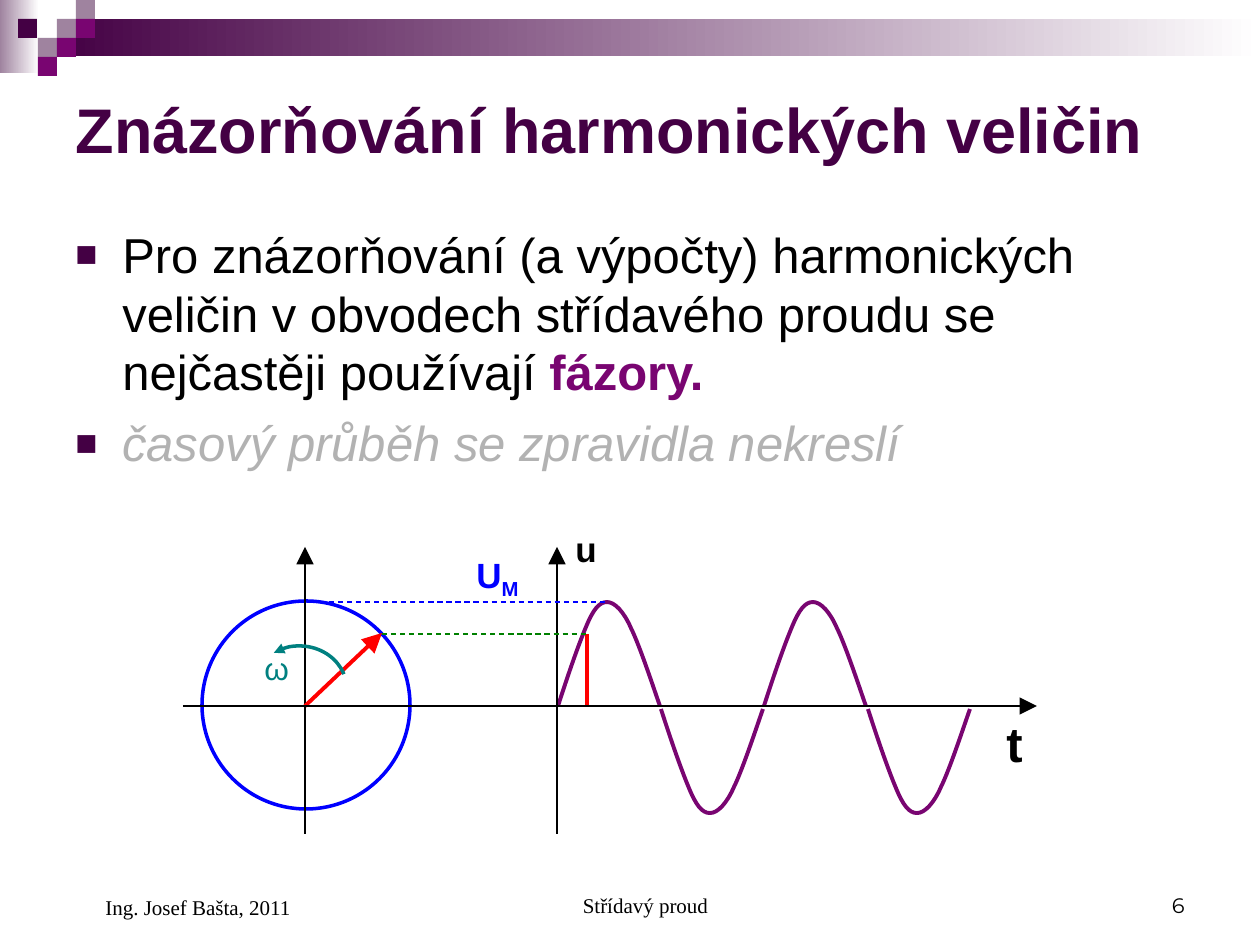
from lxml.etree import SubElement
from pptx import Presentation
from pptx.dml.color import RGBColor
from pptx.enum.dml import MSO_LINE
from pptx.enum.shapes import MSO_CONNECTOR, MSO_SHAPE
from pptx.enum.text import MSO_ANCHOR, PP_ALIGN
from pptx.oxml.ns import qn
from pptx.util import Emu, Pt

PX = 7257.14  # EMU per pixel, 126 px to the inch
BLACK = RGBColor(0, 0, 0)
WHITE = RGBColor(255, 255, 255)
DARK = RGBColor(0x44, 0x00, 0x44)
PURPLE = RGBColor(0x79, 0x05, 0x71)
MAUVE = RGBColor(0x9F, 0x83, 0x9F)
GREY = RGBColor(0xB2, 0xB2, 0xB2)
BLUE = RGBColor(0, 0, 255)
RED = RGBColor(255, 0, 0)
GREEN = RGBColor(0, 0x80, 0)
TEAL = RGBColor(0, 0x80, 0x80)

# Content: a run is (text, size, colour, style), style being letters of "bi_"
TITLE = [("Znázorňování harmonických veličin", 36, DARK, "b")]
BULLETS = [
    [("Pro znázorňování (a výpočty) harmonických veličin v obvodech "
      "střídavého proudu se nejčastěji používají ", 28, BLACK, ""),
     ("fázory.", 28, PURPLE, "b")],
    [("časový průběh se zpravidla nekreslí", 28, GREY, "i")],
]
LABELS = [  # left, top, width, height, runs
    (563, 521, 84, 55, [("u", 20, BLACK, "b")]),
    (994, 707, 57, 72, [("t", 28, BLACK, "b")]),
    (252, 643, 48, 50, [("ω", 18, TEAL, "")]),
    (464, 547, 103, 60, [("U", 20, BLUE, "b"), ("M", 20, BLUE, "b_")]),
]
FOOTERS = [  # left, width, height, text, font, alignment, indent
    (431, 399, 63, "Střídavý proud", "Times New Roman", PP_ALIGN.CENTER, 30),
    (903, 294, 63, "6", "Montserrat", PP_ALIGN.RIGHT, 0),
    (63, 294, 65, "Ing. Josef Bašta, 2011", "Times New Roman", PP_ALIGN.LEFT, 30),
]
BANDS = [(0, 0, 39, 73, MAUVE), (57, 19, 1203, 37, DARK)]
TILE = 19
TILES = [(57, 19, MAUVE), (76, 0, MAUVE), (76, 19, PURPLE), (38, 38, MAUVE),
         (18, 19, DARK), (57, 38, PURPLE), (38, 57, PURPLE)]
LINES = [  # x1, y1, x2, y2, colour, width, arrow, dashed
    (557, 834, 557, 547, BLACK, 1.5, True, False),
    (305, 834, 305, 547, BLACK, 1.5, True, False),
    (305, 706, 382, 633, RED, 2.25, True, False),
    (587, 634, 587, 706, RED, 2.25, False, False),
    (382, 634, 586, 634, GREEN, 0.75, False, True),
    (311, 602, 605, 602, BLUE, 0.75, False, True),
    (183, 706, 1037, 706, BLACK, 1.5, True, False),
]
# Half wave as Bézier points: start, then three points per segment
HALF_WAVE = [(0, 0), (10, -31), (20, -60), (28, -79), (35, -96), (41, -104),
             (49, -104), (57, -104), (66, -94), (73, -78), (82, -60),
             (97, -14), (102, 0)]
WAVES = [(558, 706, 1), (764, 706, 1), (661, 709, -1), (868, 709, -1)]
ROTATION_DEGREES = (235, 341)

presentation = Presentation()
presentation.slide_width, presentation.slide_height = Emu(9144000), Emu(6858000)
slide = presentation.slides.add_slide(presentation.slide_layouts[5])
shapes = slide.shapes


def px(*values):
    return [Emu(round(value * PX)) for value in values]


def add_runs(paragraph, runs, font="Arial"):
    for text, size, colour, style in runs:
        run = paragraph.add_run()
        run.text = text
        run.font.name, run.font.size = font, Pt(size)
        run.font.bold, run.font.italic = "b" in style, "i" in style
        run.font.color.rgb = colour
        if "_" in style:
            run.font._element.set("baseline", "-25000")


def add_text(left, top, width, height, anchor=MSO_ANCHOR.TOP):
    frame = shapes.add_textbox(*px(left, top, width, height)).text_frame
    frame.word_wrap = True
    frame.vertical_anchor = anchor
    return frame


def add_box(kind, left, top, width, height):
    shape = shapes.add_shape(kind, *px(left, top, width, height))
    shape.shadow.inherit = False
    shape.line.fill.background()
    return shape


def set_outline(shape, colour, width):
    shape.fill.background()
    shape.line.color.rgb, shape.line.width = colour, Pt(width)


def add_arrowhead(line, end, size):
    SubElement(line._get_or_add_ln(), qn(f"a:{end}"),
               type="triangle", w=size, len=size)


def add_curve(points, colour, width):
    """Build a freeform through the points, then make each three a Bézier."""
    builder = shapes.build_freeform(*px(*points[0]), scale=1.0)
    builder.add_line_segments([px(*point) for point in points[1:]], close=False)
    curve = builder.convert_to_shape()
    curve.shadow.inherit = False
    set_outline(curve, colour, width)
    segments = list(curve._element.iter(qn("a:lnTo")))
    outline = segments[0].getparent()
    for first in range(0, len(segments), 3):
        bezier = SubElement(outline, qn("a:cubicBezTo"))
        for segment in segments[first:first + 3]:
            bezier.append(segment[0])
            outline.remove(segment)


# Header decoration
for *place, colour in BANDS:
    fill = add_box(MSO_SHAPE.RECTANGLE, *place).fill
    fill.gradient()
    fill.gradient_angle = 180
    for stop, stop_colour in zip(fill.gradient_stops, (WHITE, colour)):
        stop.color.rgb = stop_colour
for left, top, colour in TILES:
    tile = add_box(MSO_SHAPE.RECTANGLE, left, top, TILE, TILE)
    tile.fill.solid()
    tile.fill.fore_color.rgb = colour

# Title
title = shapes.title
title.left, title.top, title.width, title.height = px(63, 63, 1134, 130)
title.text_frame.vertical_anchor = MSO_ANCHOR.MIDDLE
title.text_frame.paragraphs[0].alignment = PP_ALIGN.LEFT
add_runs(title.text_frame.paragraphs[0], TITLE)

# Bulleted text
body = add_text(63, 218, 1134, 284)
for index, runs in enumerate(BULLETS):
    paragraph = body.paragraphs[0] if index == 0 else body.add_paragraph()
    if index:
        paragraph.space_before = Pt(7)
    properties = paragraph._p.get_or_add_pPr()
    indent = px(47)[0]
    properties.set("marL", str(indent))
    properties.set("indent", str(-indent))
    bullet_colour = SubElement(properties, qn("a:buClr"))
    SubElement(bullet_colour, qn("a:srgbClr"), val=str(DARK))
    SubElement(properties, qn("a:buSzPct"), val="75000")
    SubElement(properties, qn("a:buFont"), typeface="Arial")
    SubElement(properties, qn("a:buChar"), char="■")
    add_runs(paragraph, runs)

# Phasor circle and sine wave
for left, base, sign in WAVES:
    add_curve([(left + x, base + sign * y) for x, y in HALF_WAVE], PURPLE, 2.25)
set_outline(add_box(MSO_SHAPE.OVAL, 202, 601, 208, 208), BLUE, 2)

# Axes, phasor and projection lines
for x1, y1, x2, y2, colour, width, arrow, dashed in LINES:
    connector = shapes.add_connector(MSO_CONNECTOR.STRAIGHT, *px(x1, y1, x2, y2))
    connector.line.color.rgb, connector.line.width = colour, Pt(width)
    if dashed:
        connector.line.dash_style = MSO_LINE.DASH
    if arrow:
        add_arrowhead(connector.line, "tailEnd", "lg")
    SubElement(connector._element.spPr, qn("a:effectLst"))

# Direction of rotation; an arc adjustment is 0.6 per degree
rotation = add_box(MSO_SHAPE.ARC, 252, 646, 95, 87)
for index, degrees in enumerate(ROTATION_DEGREES):
    rotation.adjustments[index] = degrees * 0.6
set_outline(rotation, TEAL, 2)
add_arrowhead(rotation.line, "headEnd", "med")

# Diagram labels
for *place, runs in LABELS:
    add_runs(add_text(*place).paragraphs[0], runs)

# Footer
for left, width, height, text, font, alignment, indent in FOOTERS:
    paragraph = add_text(left, 861, width, height, MSO_ANCHOR.BOTTOM).paragraphs[0]
    paragraph.alignment = alignment
    paragraph._p.get_or_add_pPr().set("marL", str(px(indent)[0]))
    add_runs(paragraph, [(text, 12, BLACK, "")], font)

presentation.save("out.pptx")
